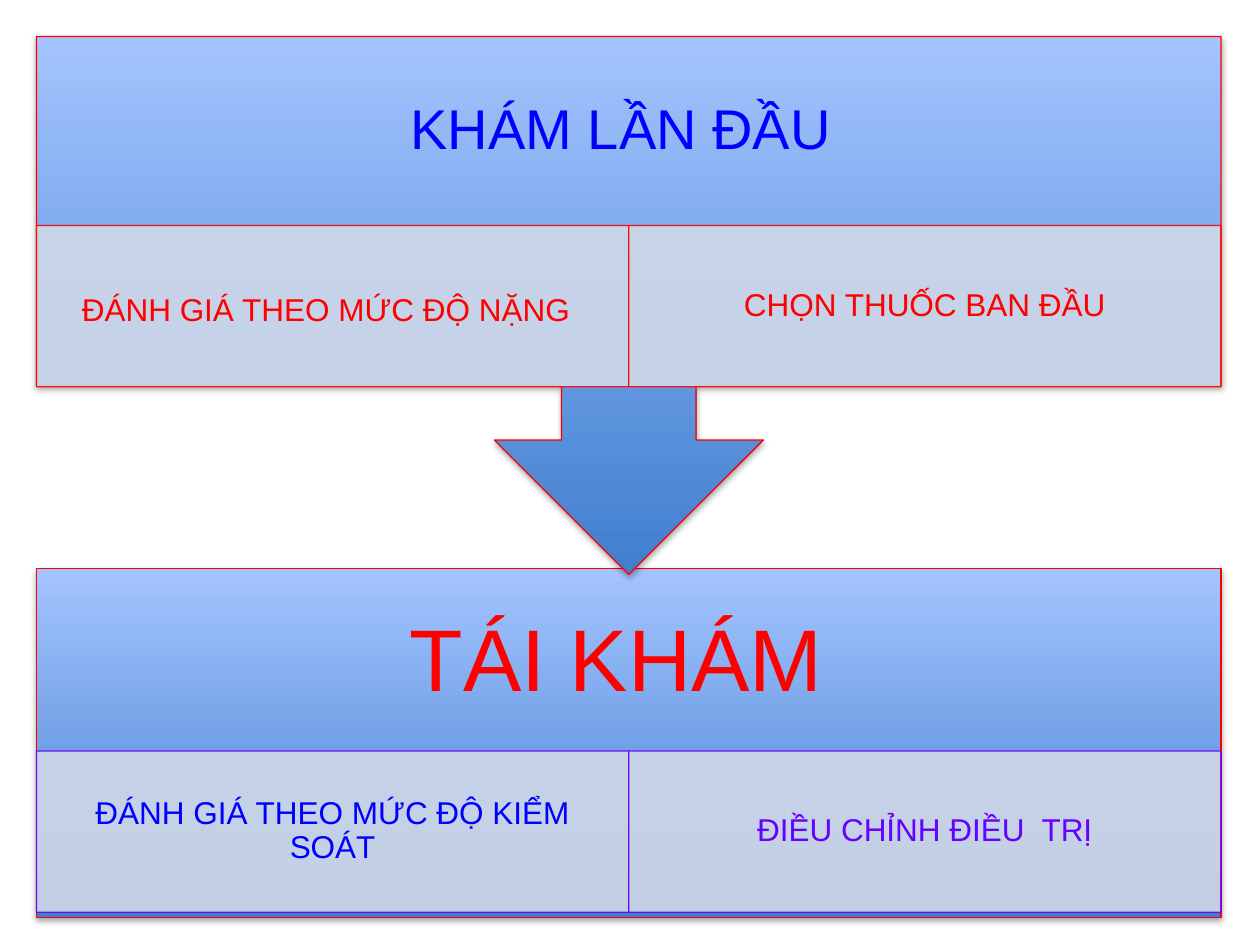
from dataclasses import dataclass

from lxml import etree
from pptx import Presentation
from pptx import util as u
from pptx.dml.color import RGBColor
from pptx.enum import shapes, text
from pptx.oxml import ns

WIDE, HIGH = u.Inches(10), u.Inches(7.5)
LEFT, SPAN = 0.029, 0.94
ROW = 1.28 / 7.5
HEAD = 0.2
RED, BLUE, VIOLET = "FF0000", "0000FF", "6600FF"
PALE, LIGHT, DARK = "D0D8E8", "A4C4FF", "3F7FCE"


@dataclass
class Cell:
    """One labelled box in the lower row of a panel."""
    words: str
    ink: str
    tail: float = 0


@dataclass
class Panel:
    """A stage with a heading and a row of cells."""
    kind: shapes.MSO_SHAPE
    turn: int
    top: float
    tall: float
    row: float
    edge: str
    words: str
    size: float
    ink: str
    pad: float
    cells: list[Cell]


def hue(code: str) -> RGBColor:
    """Turn a hex string into a colour."""
    return RGBColor.from_string(code)


def area(left: float, top: float, wide: float, tall: float) -> tuple:
    """Turn shares of the slide into lengths."""
    return tuple(round(n) for n in (left * WIDE, top * HIGH, wide * WIDE, tall * HIGH))


def node(base, tag: str, **attrs: str):
    """Add a DrawingML element to another."""
    return etree.SubElement(base, ns.qn(tag), attrs)


def fade(paint) -> None:
    """Make a solid paint ten per cent transparent."""
    node(paint.find(".//" + ns.qn("a:srgbClr")), "a:alpha", val="90000")


def write(shape, words: str, *, size: float, ink: str, pad: tuple, tail: float = 0) -> None:
    """Put centred, formatted text in a shape."""
    frame = shape.text_frame
    frame.word_wrap = True
    frame.auto_size = text.MSO_AUTO_SIZE.NONE
    frame.vertical_anchor = text.MSO_ANCHOR.MIDDLE
    frame.margin_left = frame.margin_right = u.Inches(pad[0])
    frame.margin_top = frame.margin_bottom = u.Inches(pad[1])
    para = frame.paragraphs[0]
    para.alignment = text.PP_ALIGN.CENTER
    para.line_spacing = 0.9
    para.space_before = u.Pt(0)
    para.space_after = u.Pt(round(0.35 * size))
    for part, pts in [(words, size)] + ([(" ", tail)] if tail else []):
        run = para.add_run()
        run.text = part
        run.font.name, run.font.size = "Arial", u.Pt(pts)
        run.font.color.rgb = hue(ink)


def block(slide, kind, spot: tuple, edge: str):
    """Add an outlined shape without a shadow."""
    shape = slide.shapes.add_shape(kind, *spot)
    shape.shadow.inherit = False
    shape.line.color.rgb, shape.line.width = hue(edge), u.Pt(0.75)
    return shape


def back(slide, panel: Panel) -> None:
    """Draw the shaded ground of a panel."""
    shape = block(slide, panel.kind, area(LEFT, panel.top, SPAN, panel.tall), RED)
    shape.rotation = panel.turn
    shape.fill.gradient()
    shape.fill.gradient_angle = 90
    for stop, code, at in zip(shape.fill.gradient_stops, (DARK, LIGHT), (0, 1)):
        stop.color.rgb, stop.position = hue(code), at
    props = shape.element.spPr
    props.find(ns.qn("a:gradFill")).set("rotWithShape", "0")
    cast = node(props.find(ns.qn("a:effectLst")), "a:outerShdw", blurRad="40000",
                dist="23000", dir="5400000", rotWithShape="0")
    node(node(cast, "a:srgbClr", val="000000"), "a:alpha", val="35000")


def draw(slide, panel: Panel, head=None) -> None:
    """Draw a panel with its heading and cells."""
    back(slide, panel)
    spot = area(LEFT, panel.top, SPAN, HEAD)
    if head is None:
        head = slide.shapes.add_textbox(*spot)
    head.left, head.top, head.width, head.height = spot
    slide.shapes.element.append(head.element)
    write(head, panel.words, size=panel.size, ink=panel.ink, pad=(panel.pad, panel.pad))
    wide = SPAN / len(panel.cells)
    for i, cell in enumerate(panel.cells):
        box = block(slide, shapes.MSO_SHAPE.RECTANGLE,
                    area(LEFT + i * wide, panel.row, wide, ROW), panel.edge)
        box.fill.solid()
        box.fill.fore_color.rgb = hue(PALE)
        fade(box.element.spPr.find(ns.qn("a:solidFill")))
        fade(box.element.spPr.find(ns.qn("a:ln")))
        write(box, cell.words, size=18, ink=cell.ink, pad=(0.14, 0.03), tail=cell.tail)


def main() -> None:
    """Build and save the slide."""
    deck = Presentation()
    deck.slide_width, deck.slide_height = WIDE, HIGH
    slide = deck.slides.add_slide(deck.slide_layouts[5])
    again = Panel(shapes.MSO_SHAPE.RECTANGLE, 0, 4.51 / 7.5, 2.77 / 7.5, 5.96 / 7.5,
                  VIOLET, "TÁI KHÁM ", 50, RED, 0.39,
                  [Cell("ĐÁNH GIÁ THEO MỨC ĐỘ KIỂM SOÁT", BLUE),
                   Cell("ĐIỀU CHỈNH ĐIỀU  TRỊ", VIOLET)])
    first = Panel(shapes.MSO_SHAPE.UP_ARROW_CALLOUT, 180, 0.29 / 7.5, 4.27 / 7.5, 1.79 / 7.5,
                  RED, "KHÁM LẦN ĐẦU ", 32, BLUE, 0.25,
                  [Cell("ĐÁNH GIÁ THEO MỨC ĐỘ NẶNG", RED, 27),
                   Cell("CHỌN THUỐC BAN ĐẦU", RED)])
    draw(slide, again)
    draw(slide, first, slide.shapes.title)
    deck.save("out.pptx")


if __name__ == "__main__":
    main()
